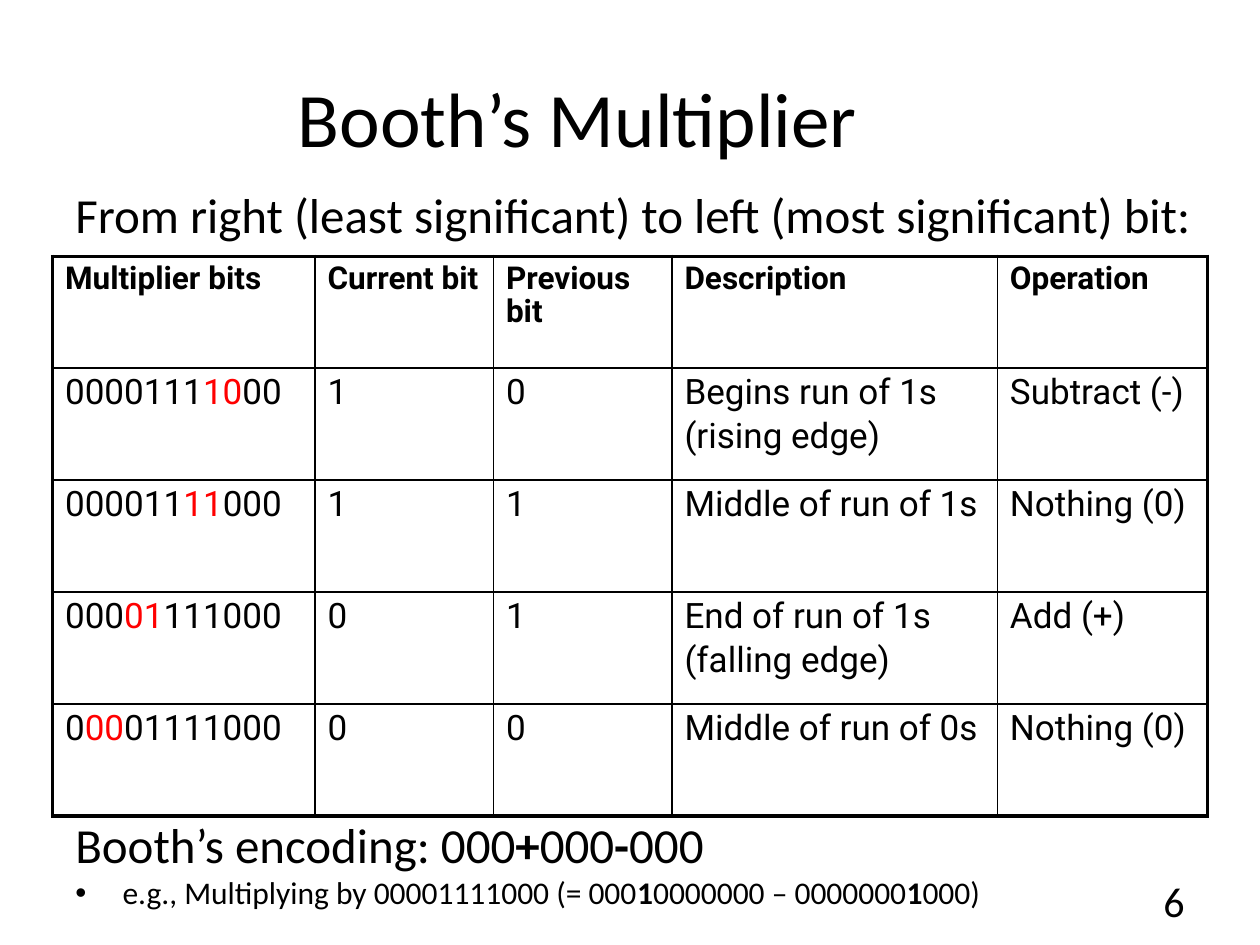
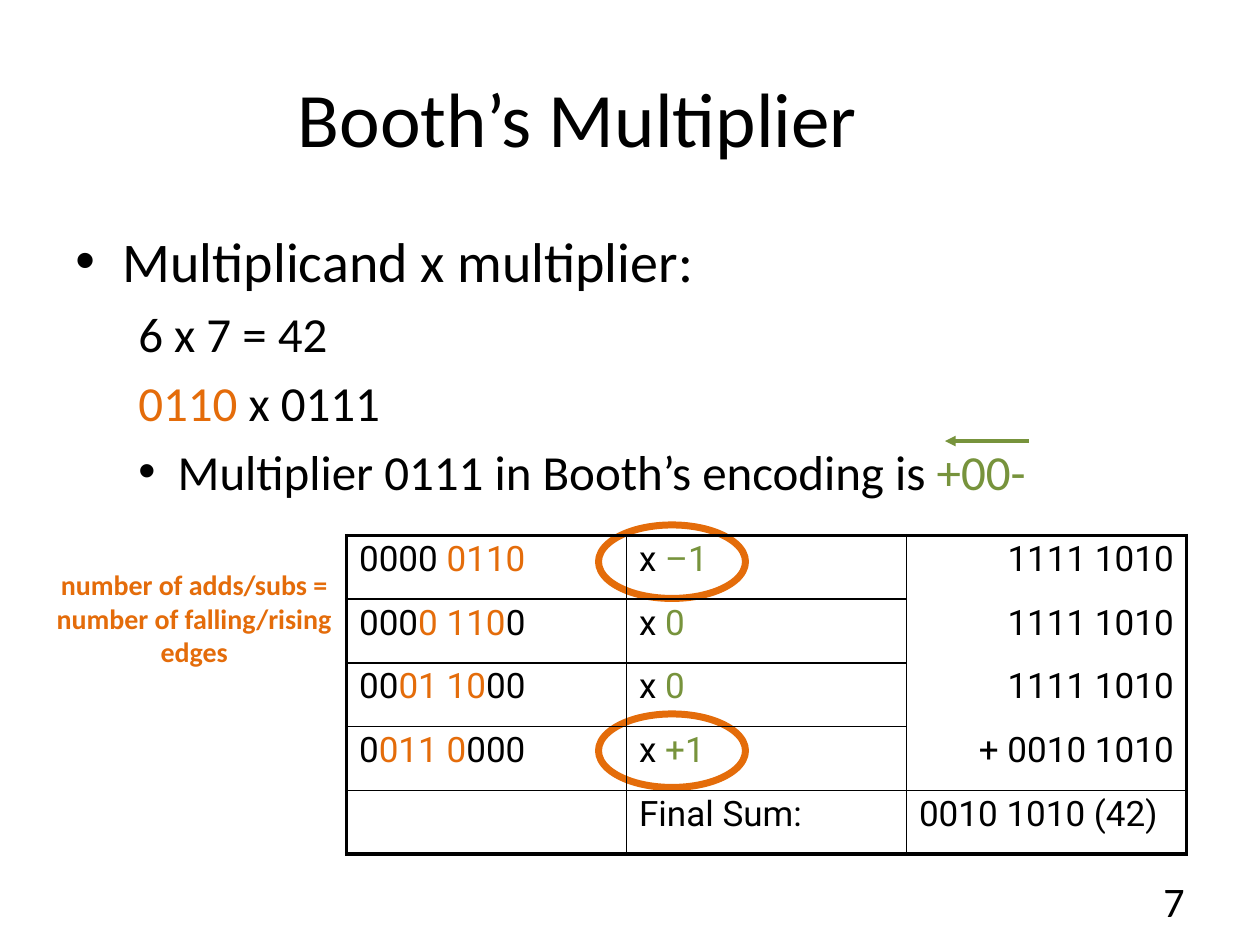
from dataclasses import dataclass
from typing import NamedTuple, Optional

from lxml.etree import SubElement
from pptx import Presentation
from pptx.dml.color import RGBColor
from pptx.enum.shapes import MSO_CONNECTOR, MSO_SHAPE
from pptx.enum.text import MSO_ANCHOR, PP_ALIGN
from pptx.oxml.ns import qn
from pptx.util import Pt

BLACK, WHITE = "000000", "FFFFFF"
RED, ORANGE, GREEN = "FF0000", "E46C0A", "77933C"
BODY_FONT, TABLE_FONT = "Calibri", "Roboto"
OUTER, INNER = 2.25, 1
TITLE = "Booth’s Multiplier"


def rgb(color):
    return RGBColor.from_string(color)


class Span(NamedTuple):
    """A part of a paragraph that differs from the rest in colour or weight."""
    text: str
    color: Optional[str] = None
    bold: Optional[bool] = None


def bold(text):
    return Span(text, bold=True)


@dataclass
class Para:
    """One paragraph; spans may be plain strings. Lengths are in points."""
    spans: list
    size: float
    font: str = BODY_FONT
    color: str = BLACK
    bold: bool = False
    align: PP_ALIGN = PP_ALIGN.LEFT
    left: float = 0
    hanging: float = 0
    before: float = 0
    spacing: Optional[float] = None

    def apply_to(self, paragraph):
        props = paragraph._p.get_or_add_pPr()
        props.set("marL", str(Pt(self.left)))
        props.set("indent", str(Pt(-self.hanging)))
        paragraph.alignment = self.align
        paragraph.space_before = Pt(self.before)
        if self.spacing:
            paragraph.line_spacing = self.spacing
        if self.hanging:
            SubElement(props, qn("a:buFont")).set("typeface", "Arial")
            SubElement(props, qn("a:buChar")).set("char", "•")
        font = paragraph.font
        font.name, font.size, font.bold = self.font, Pt(self.size), self.bold
        font.color.rgb = rgb(self.color)
        for span in self.spans:
            span = span if isinstance(span, Span) else Span(span)
            run = paragraph.add_run()
            run.text = span.text
            if span.color:
                run.font.color.rgb = rgb(span.color)
            if span.bold:
                run.font.bold = True


def fill_frame(frame, paras):
    frame.word_wrap = True
    for index, para in enumerate(paras):
        para.apply_to(frame.add_paragraph() if index else frame.paragraphs[0])


def draw_border(cell, side, width):
    """Draw side L, R, T or B of a cell; a width of 0 hides it."""
    line = SubElement(cell._tc.get_or_add_tcPr(), qn(f"a:ln{side}"), w=str(Pt(width)))
    if width:
        fill = SubElement(line, qn("a:solidFill"))
        SubElement(fill, qn("a:srgbClr"), val=BLACK)
    else:
        SubElement(line, qn("a:noFill"))


class Deck:
    def __init__(self):
        self.prs = Presentation()
        self.prs.slide_width, self.prs.slide_height = Pt(720), Pt(540)
        self.shapes = None

    def add_slide(self):
        self.shapes = self.prs.slides.add_slide(self.prs.slide_layouts[6]).shapes

    def text(self, box, paras, anchor=MSO_ANCHOR.TOP):
        frame = self.shapes.add_textbox(*map(Pt, box)).text_frame
        frame.vertical_anchor = anchor
        fill_frame(frame, paras)

    def title_and_number(self, number):
        self.text((36, 21.6, 588, 90),
                  [Para([TITLE], 44, align=PP_ALIGN.CENTER)], MSO_ANCHOR.MIDDLE)
        self.text((600, 500.4, 84, 28.8),
                  [Para([number], 24, align=PP_ALIGN.RIGHT)], MSO_ANCHOR.MIDDLE)

    def panel(self, box, paras):
        panel = self.shapes.add_shape(MSO_SHAPE.RECTANGLE, *map(Pt, box))
        panel.shadow.inherit = False
        panel.fill.solid()
        panel.fill.fore_color.rgb = rgb(WHITE)
        panel.line.fill.background()
        panel.text_frame.vertical_anchor = MSO_ANCHOR.TOP
        fill_frame(panel.text_frame, paras)

    def ring(self, box, color, width):
        ring = self.shapes.add_shape(MSO_SHAPE.OVAL, *map(Pt, box))
        ring.shadow.inherit = False
        ring.fill.background()
        ring.line.color.rgb = rgb(color)
        ring.line.width = Pt(width)

    def arrow(self, start, end, color, width):
        arrow = self.shapes.add_connector(MSO_CONNECTOR.STRAIGHT, *map(Pt, start + end))
        arrow.line.color.rgb = rgb(color)
        arrow.line.width = Pt(width)
        properties = arrow._element.spPr
        SubElement(properties.find(qn("a:ln")), qn("a:tailEnd"), type="triangle")
        SubElement(properties, qn("a:effectLst"))

    def table(self, left, top, widths, row_height, rows, style, open_joins=()):
        """Add a table; style(row, column) gives paragraph settings, and
        open_joins lists (row, column) cells with no border below them."""
        table = self.shapes.add_table(
            len(rows), len(widths), Pt(left), Pt(top),
            Pt(sum(widths)), Pt(row_height * len(rows))).table
        table.first_row = table.horz_banding = False
        for column, width in zip(table.columns, widths):
            column.width = Pt(width)
        last_row, last_column = len(rows) - 1, len(widths) - 1
        for r, row in enumerate(rows):
            table.rows[r].height = Pt(row_height)
            for c, lines in enumerate(row):
                cell = table.cell(r, c)
                below = 0 if (r, c) in open_joins else INNER
                above = 0 if (r - 1, c) in open_joins else INNER
                draw_border(cell, "L", INNER if c else OUTER)
                draw_border(cell, "R", OUTER if c == last_column else INNER)
                draw_border(cell, "T", above if r else OUTER)
                draw_border(cell, "B", OUTER if r == last_row else below)
                cell.fill.background()
                settings = {"size": 20, **style(r, c)}
                fill_frame(cell.text_frame, [
                    Para(spans, font=TABLE_FONT, spacing=0.9,
                         before=4 if i else 0, **settings)
                    for i, spans in enumerate(lines)])


def booth_rules(deck):
    deck.add_slide()
    deck.title_and_number("6")

    def bits(before, pair, after):
        return [[before, Span(pair, RED), after]]

    def plain(*lines):
        return [[line] for line in lines]

    headings = ["Multiplier bits", "Current bit", "Previous bit",
                "Description", "Operation"]
    cases = [
        (bits("0000111", "10", "00"), "1", "0",
         ("Begins run of 1s", "(rising edge)"), "Subtract (-)"),
        (bits("000011", "11", "000"), "1", "1",
         ("Middle of run of 1s",), "Nothing (0)"),
        (bits("000", "01", "111000"), "0", "1",
         ("End of run of 1s", "(falling edge)"), "Add (+)"),
        (bits("0", "00", "01111000"), "0", "0",
         ("Middle of run of 0s",), "Nothing (0)"),
    ]
    rows = [[plain(heading) for heading in headings]]
    rows += [[multiplier, plain(current), plain(previous), plain(*description),
              plain(operation)]
             for multiplier, current, previous, description, operation in cases]
    deck.table(30, 146.4, [150, 102, 102, 186, 120], 64, rows,
               lambda r, c: {} if r else {"size": 18, "bold": True})

    deck.text((36, 102, 660, 44.4), [
        Para(["From right (least significant) to left (most significant) bit:"], 28)])
    deck.text((36, 462, 648, 72), [
        Para(["Booth’s encoding: 000", bold("+"), "000", bold("-"), "000"], 28),
        Para(["e.g., Multiplying by 00001111000 (= 000", bold("1"),
              "0000000 – 0000000", bold("1"), "000)"], 18, left=27, hanging=27)])


def booth_example(deck):
    deck.add_slide()
    deck.panel((36, 126, 648, 356.4), [
        Para(["Multiplicand x multiplier:"], 32, left=27, hanging=27),
        Para(["6 x 7 = 42"], 28, left=36, before=5.6),
        Para([Span("0110", ORANGE), " x 0111"], 28, left=36, before=5.6),
        Para(["Multiplier 0111 in Booth’s encoding is ", Span("+00-", GREEN)],
             28, left=58.5, hanging=22.5, before=5.6)])
    deck.title_and_number("7")
    deck.arrow((588, 252), (540, 252), GREEN, 2)
    deck.text((6, 320.4, 210, 65.5), [
        Para(["number of adds/subs = number of falling/rising edges"], 16,
             color=ORANGE, bold=True, align=PP_ALIGN.CENTER)], MSO_ANCHOR.MIDDLE)
    for top in (300, 408):
        deck.ring((342, top, 84, 42), ORANGE, 4)

    steps = [
        ("0000 ", "0110", "", "–1", "1111 1010"),
        ("000", "0 110", "0", "0", "1111 1010"),
        ("00", "01 10", "00", "0", "1111 1010"),
        ("0", "011 0", "000", "+1", "+ 0010 1010"),
    ]
    rows = [[[[before, Span(shifted, ORANGE)] + ([after] if after else [])],
             [["x ", Span(digit, GREEN)]], [[product]]]
            for before, shifted, after, digit, product in steps]
    rows.append([[], [["Final Sum:"]], [["0010 1010 (42)"]]])
    product_column, sum_row = 2, len(steps)

    def align_products(r, c):
        is_product = c == product_column and r < sum_row
        return {"align": PP_ALIGN.RIGHT if is_product else PP_ALIGN.LEFT}

    deck.table(198, 306, [160] * 3, 36.4, rows, align_products,
               open_joins=[(r, product_column) for r in range(sum_row - 1)])


def main():
    deck = Deck()
    booth_rules(deck)
    booth_example(deck)
    deck.prs.save("out.pptx")


if __name__ == "__main__":
    main()
